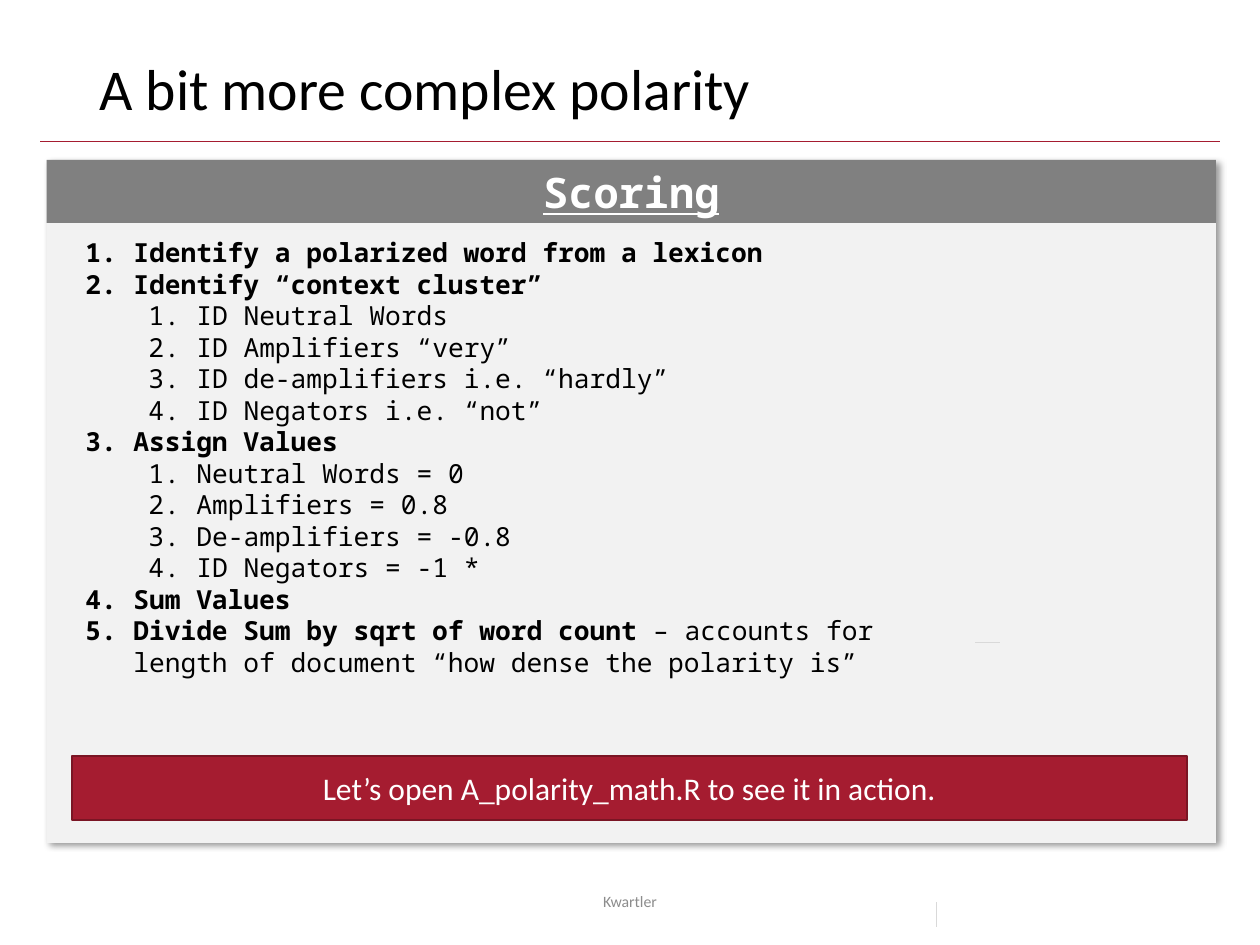
from dataclasses import dataclass

from lxml import etree
from pptx import Presentation
from pptx.dml.color import RGBColor
from pptx.enum.shapes import MSO_CONNECTOR, MSO_SHAPE
from pptx.enum.text import MSO_ANCHOR, MSO_AUTO_SIZE, PP_ALIGN
from pptx.oxml.ns import qn
from pptx.util import Inches, Pt

STRAIGHT = MSO_CONNECTOR.STRAIGHT
RECTANGLE = MSO_SHAPE.RECTANGLE
MIDDLE = MSO_ANCHOR.MIDDLE
CENTER = PP_ALIGN.CENTER
LEFT = PP_ALIGN.LEFT
SANS = "Calibri"
MONO = "Noto Sans Mono"
CRIMSON = "A51C30"
BLACK = "000000"
WHITE = "FFFFFF"
PALE = "D9D9D9"


@dataclass
class Box:
    left: float
    top: float
    width: float
    height: float

    def lengths(self) -> tuple:
        return tuple(Inches(v) for v in (self.left, self.top, self.width, self.height))


@dataclass
class Style:
    font: str
    size: float
    color: str
    bold: bool = False
    underline: bool = False


@dataclass
class Rule:
    start: tuple[float, float]
    end: tuple[float, float]
    color: str


@dataclass
class Step:
    text: str
    level: int = 0
    detail: str = ""


RULES = [
    Rule((0.32, 1.12), (9.68, 1.12), CRIMSON),
    Rule((7.43, 7.16), (7.43, 7.36), PALE),
    Rule((7.74, 5.1), (7.94, 5.1), PALE),
]

STEPS = [
    Step("Identify a polarized word from a lexicon"),
    Step("Identify “context cluster”"),
    Step("ID Neutral Words", 1),
    Step("ID Amplifiers “very”", 1),
    Step("ID de-amplifiers i.e. “hardly”", 1),
    Step("ID Negators i.e. “not”", 1),
    Step("Assign Values"),
    Step("Neutral Words = 0", 1),
    Step("Amplifiers = 0.8", 1),
    Step("De-amplifiers = -0.8", 1),
    Step("ID Negators = -1 *", 1),
    Step("Sum Values"),
    Step(
        "Divide Sum by sqrt of word count ",
        detail="– accounts for length of document “how dense the polarity is”",
    ),
]


def rgb(color: str) -> RGBColor:
    return RGBColor.from_string(color)


def format_font(font, style: Style) -> None:
    font.name = style.font
    font.size = Pt(style.size)
    font.bold = style.bold
    font.underline = style.underline
    font.color.rgb = rgb(style.color)


def set_text(shape, text: str, style: Style, alignment=CENTER) -> None:
    frame = shape.text_frame
    frame.text = text
    frame.word_wrap = True
    frame.vertical_anchor = MIDDLE
    paragraph = frame.paragraphs[0]
    paragraph.alignment = alignment
    format_font(paragraph.runs[0].font, style)


def add_panel(slide, box: Box, fill: str, outline: str = ""):
    shape = slide.shapes.add_shape(RECTANGLE, *box.lengths())
    shape.shadow.inherit = False
    shape.fill.solid()
    shape.fill.fore_color.rgb = rgb(fill)
    if outline:
        shape.line.color.rgb = rgb(outline)
        shape.line.width = Pt(1)
    else:
        shape.line.fill.background()
    return shape


def add_shadow(shape) -> None:
    effects = shape._element.spPr.find(qn("a:effectLst"))
    shadow = etree.SubElement(
        effects, qn("a:outerShdw"), blurRad=str(Pt(4)), dist=str(Pt(3)),
        dir=str(45 * 60000), algn="tl", rotWithShape="0",
    )
    color = etree.SubElement(shadow, qn("a:srgbClr"), val=BLACK)
    etree.SubElement(color, qn("a:alpha"), val="40000")


def add_rule(slide, rule: Rule) -> None:
    points = [Inches(value) for value in rule.start + rule.end]
    connector = slide.shapes.add_connector(STRAIGHT, *points)
    connector.line.color.rgb = rgb(rule.color)
    connector.line.width = Pt(0.5)
    etree.SubElement(connector._element.spPr, qn("a:effectLst"))


def add_steps(slide, box: Box, steps: list[Step]) -> None:
    frame = slide.shapes.add_textbox(*box.lengths()).text_frame
    frame.word_wrap = True
    frame.auto_size = MSO_AUTO_SIZE.SHAPE_TO_FIT_TEXT
    for index, step in enumerate(steps):
        paragraph = frame.paragraphs[0] if index == 0 else frame.add_paragraph()
        paragraph.level = step.level
        paragraph.line_spacing = Pt(18)
        properties = paragraph._p.get_or_add_pPr()
        properties.set("marL", str(Inches(0.38 + 0.5 * step.level)))
        properties.set("indent", str(Inches(-0.38)))
        etree.SubElement(properties, qn("a:buFont"), typeface="+mj-lt")
        etree.SubElement(properties, qn("a:buAutoNum"), type="arabicPeriod")
        paragraph.text = step.text
        format_font(paragraph.runs[0].font, Style(MONO, 15, BLACK, bold=step.level == 0))
        if step.detail:
            run = paragraph.add_run()
            run.text = step.detail
            format_font(run.font, Style(MONO, 15, BLACK))


def main() -> None:
    presentation = Presentation()
    presentation.slide_width = Inches(10)
    presentation.slide_height = Inches(7.5)
    slide = presentation.slides.add_slide(presentation.slide_layouts[5])

    title = slide.shapes.title
    title.left, title.top, title.width, title.height = Box(0.69, 0.4, 8.62, 0.65).lengths()
    set_text(title, "A bit more complex polarity", Style(SANS, 33, BLACK), LEFT)
    title.text_frame.auto_size = MSO_AUTO_SIZE.NONE
    title.text_frame.paragraphs[0].line_spacing = 0.9

    add_shadow(add_panel(slide, Box(0.37, 1.27, 9.28, 5.42), "F2F2F2"))
    header = add_panel(slide, Box(0.37, 1.27, 9.28, 0.5), "808080")
    set_text(header, "Scoring", Style(MONO, 24, WHITE, bold=True, underline=True))

    add_steps(slide, Box(0.58, 1.83, 6.82, 3.64), STEPS)

    footer = slide.shapes.add_textbox(*Box(3.31, 6.95, 3.38, 0.4).lengths())
    set_text(footer, "Kwartler", Style(SANS, 9, "8C8C8C"))

    callout = add_panel(slide, Box(0.57, 6, 8.85, 0.51), CRIMSON, "7A1524")
    set_text(callout, "Let’s open A_polarity_math.R to see it in action.", Style(SANS, 18, WHITE))

    for rule in RULES:
        add_rule(slide, rule)

    presentation.save("out.pptx")


if __name__ == "__main__":
    main()
